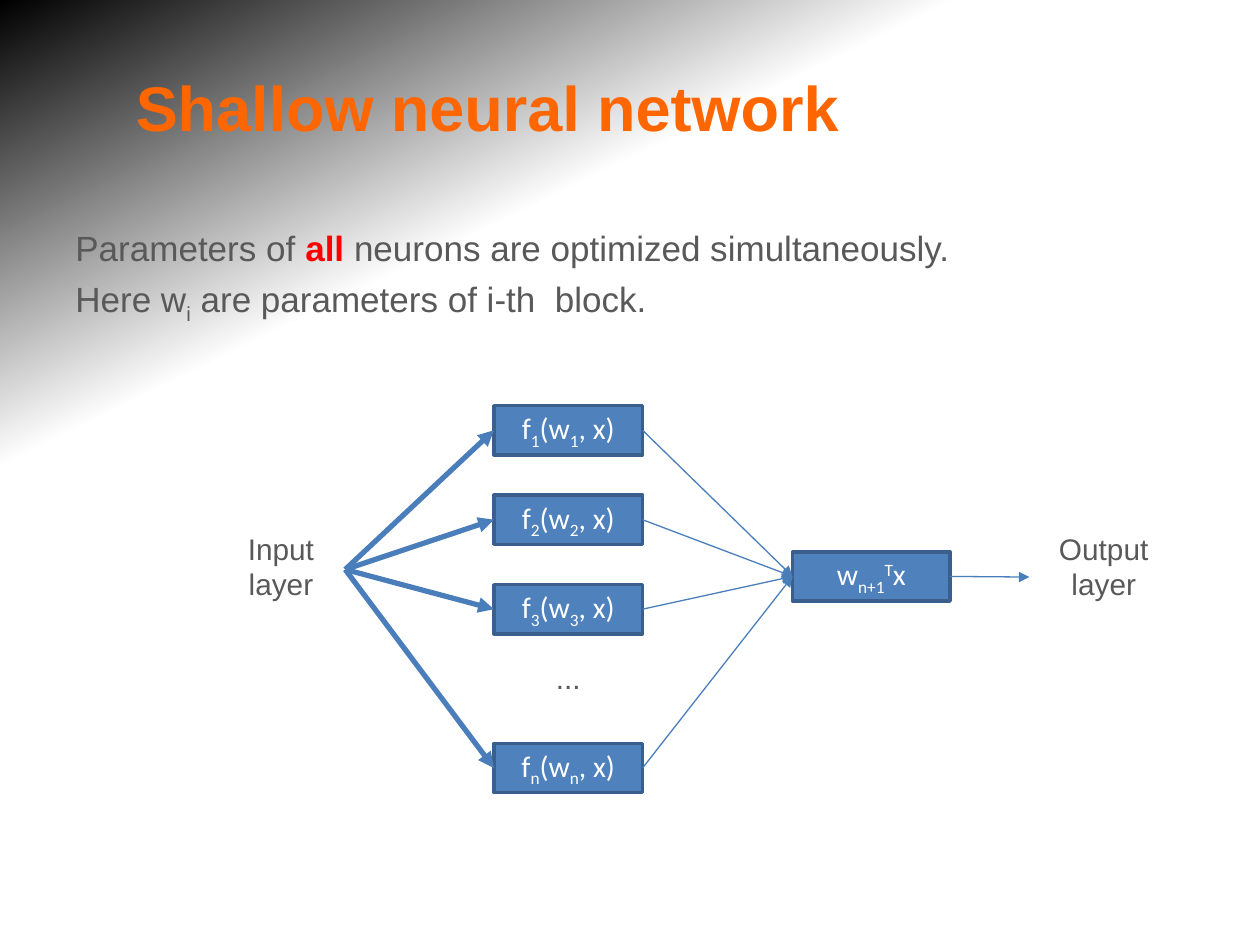
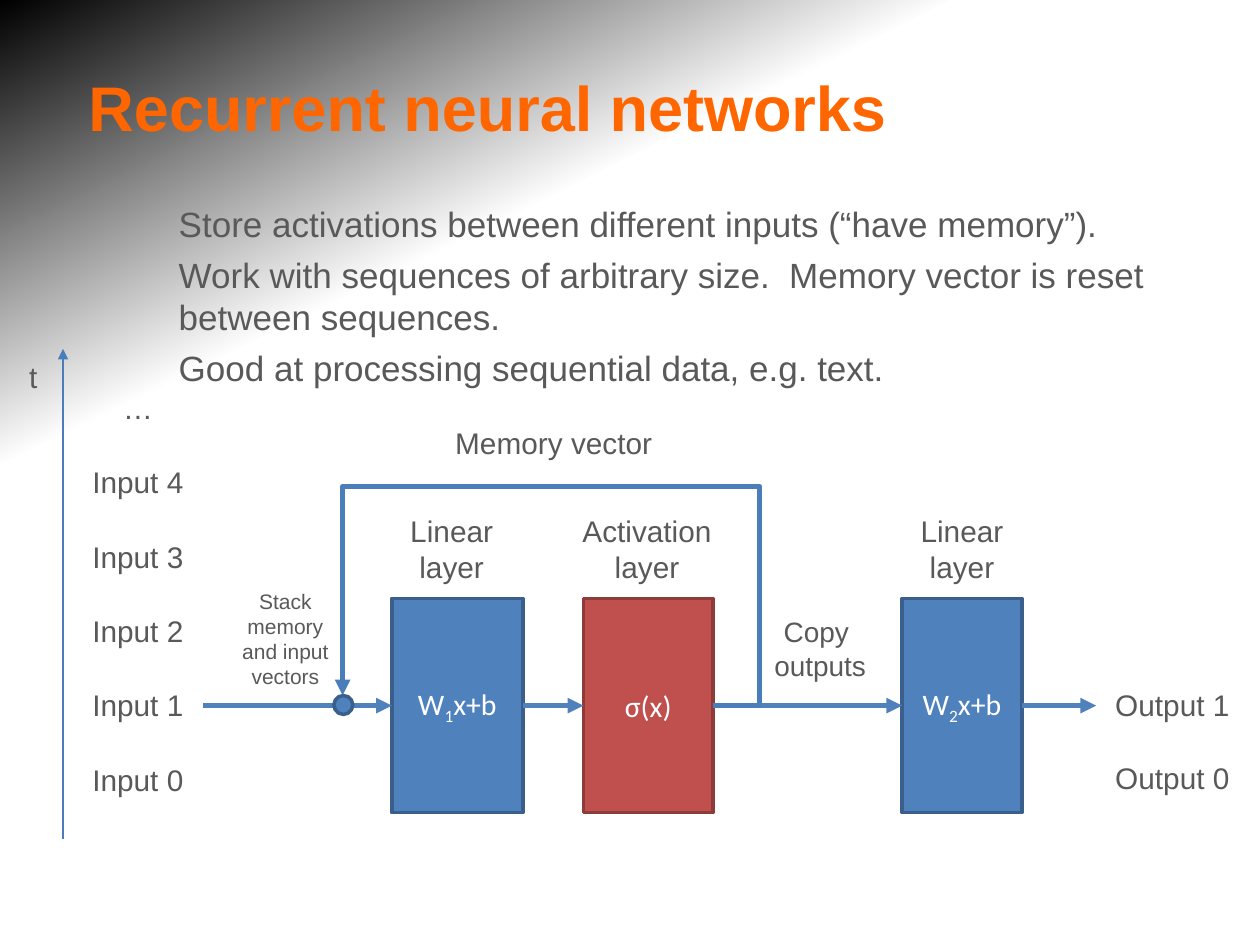
"""Build two slides on shallow and recurrent neural networks."""
from copy import deepcopy
from dataclasses import dataclass

from lxml import etree
from pptx import Presentation
from pptx import util as u
from pptx.dml.color import RGBColor
from pptx.enum import shapes, text
from pptx.oxml.ns import qn


@dataclass(frozen=True)
class Theme:
    title: str = "FF6600"
    body: str = "595959"
    accent: str = "FF0000"
    light: str = "FFFFFF"
    dark: str = "000000"
    blue: str = "4F81BD"
    blue_edge: str = "3A5F8C"
    red: str = "C0504D"
    red_edge: str = "8E3B39"
    link: str = "4A7EBB"
    font: str = "Arial"
    formula_font: str = "Calibri"
    title_size: float = 36
    body_size: float = 20
    label_size: float = 17
    copy_size: float = 16
    note_size: float = 12
    thick: float = 3
    thin: float = 0.75
    edge: float = 2


theme = Theme()
RECT, OVAL = shapes.MSO_SHAPE.RECTANGLE, shapes.MSO_SHAPE.OVAL
TOP, MIDDLE = text.MSO_ANCHOR.TOP, text.MSO_ANCHOR.MIDDLE
LEFT, CENTER, JUSTIFY = text.PP_ALIGN.LEFT, text.PP_ALIGN.CENTER, text.PP_ALIGN.JUSTIFY
BASELINES = {"_": "-25000", "^": "30000"}


def place(slide, box, lines, size=theme.label_size, color=theme.body, bold=None, align=CENTER,
          anchor=TOP, gap=0, kind=None, fill=theme.blue, edge=theme.blue_edge):
    """Add a text box, or a filled shape of the given kind; | splits runs, _ ^ * mark them."""
    area = [u.Inches(v) for v in box]
    if kind is None:
        item = slide.shapes.add_textbox(*area)
    else:
        item = slide.shapes.add_shape(kind, *area)
        item.shadow.inherit = False
        item.fill.solid()
        item.fill.fore_color.rgb = RGBColor.from_string(fill)
        item.line.color.rgb = RGBColor.from_string(edge)
        item.line.width = u.Pt(theme.edge)
        color, anchor = theme.light, MIDDLE
    frame = item.text_frame
    frame.word_wrap = True
    frame.vertical_anchor = anchor
    for number, line in enumerate(lines):
        paragraph = frame.paragraphs[0] if number == 0 else frame.add_paragraph()
        paragraph.alignment = align
        paragraph.space_before = u.Pt(gap)
        paragraph.font.name = theme.formula_font if kind else theme.font
        paragraph.font.size = u.Pt(size)
        paragraph.font.bold = bold
        paragraph.font.color.rgb = RGBColor.from_string(color)
        for piece in line.split("|"):
            run = paragraph.add_run()
            run.text = piece.lstrip("_^*")
            if piece[0] in BASELINES:
                run._r.get_or_add_rPr().set("baseline", BASELINES[piece[0]])
            elif piece[0] == "*":
                run.font.bold = True
                run.font.color.rgb = RGBColor.from_string(theme.accent)
    return item


def arrow(slide, start, end, width, color=theme.link, kind=shapes.MSO_CONNECTOR.STRAIGHT):
    """Draw an arrow between points, or from a block's right side to a block's left side."""
    points = [p if isinstance(p, tuple) else (0, 0) for p in (start, end)]
    link = slide.shapes.add_connector(kind, *[u.Inches(v) for p in points for v in p])
    if not isinstance(start, tuple):
        link.begin_connect(start, 3)
    if not isinstance(end, tuple):
        link.end_connect(end, 1)
    link.line.width = u.Pt(width)
    link.line.color.rgb = RGBColor.from_string(color)
    etree.SubElement(link.line._get_or_add_ln(), qn("a:tailEnd"), type="triangle")
    etree.SubElement(link._element.spPr, qn("a:effectLst"))
    return link


prs = Presentation()
prs.slide_width, prs.slide_height = u.Inches(10), u.Inches(7.5)

backdrop = prs.slide_master.background.fill
backdrop.gradient()
backdrop.gradient_angle = 116
stop_list = prs.slide_master.element.find(".//" + qn("a:gsLst"))
stop_list.insert(1, deepcopy(stop_list[0]))
for stop, (position, shade) in zip(backdrop.gradient_stops,
                                   [(0, theme.light), (0.7, theme.light), (1, theme.dark)]):
    stop.position = position
    stop.color.rgb = RGBColor.from_string(shade)

contents = [
    ("Shallow neural network", (0.5, 1.75, 9, 0.84), JUSTIFY,
     ["Parameters of |*all| neurons are optimized simultaneously.",
      "Here w|_i| are parameters of i-th  block."]),
    ("Recurrent neural networks", (1.32, 1.56, 8.02, 1.58), LEFT,
     ["Store activations between different inputs (“have memory”).",
      "Work with sequences of arbitrary size.  Memory vector is reset between sequences.",
      "Good at processing sequential data, e.g. text."]),
]
for heading, body_box, body_align, body in contents:
    slide = prs.slides.add_slide(prs.slide_layouts[6])
    place(slide, (0.5, 0.33, 6.74, 1.03), [heading], theme.title_size, theme.title,
          bold=True, anchor=MIDDLE)
    place(slide, body_box, body, theme.body_size, align=body_align, gap=5)
shallow, recurrent = prs.slides

place(shallow, (1.72, 4.16, 1.02, 0.79), ["Input", "layer"])
place(shallow, (8.25, 4.16, 1.02, 0.86), ["Output", "layer"])
place(shallow, (3.92, 5.19, 1.18, 0.41), ["..."])
combiner = place(shallow, (6.29, 4.38, 1.25, 0.39), ["w|_n+1|^T|x"], kind=RECT)
for index, top in zip("123n", (3.22, 3.93, 4.64, 5.9)):
    neuron = place(shallow, (3.92, top, 1.18, 0.39), [f"f|_{index}|(w|_{index}|, x)"], kind=RECT)
    arrow(shallow, (2.74, 4.52), neuron, theme.thick)
    arrow(shallow, neuron, combiner, theme.thin)
arrow(shallow, combiner, (8.17, 4.58), theme.thin)

flow_y = 5.6
stages = []
for left, width, formula, fill, edge in [
    (3.11, 1.04, "W|_1|x+b", theme.blue, theme.blue_edge),
    (4.63, 1.03, "σ(x)", theme.red, theme.red_edge),
    (7.16, 0.95, "W|_2|x+b", theme.blue, theme.blue_edge),
]:
    stages.append(place(recurrent, (left, 4.75, width, 1.7), [formula],
                        kind=RECT, fill=fill, edge=edge))
stops = [(1.61, flow_y), *stages, (8.7, flow_y)]
for start, end in zip(stops, stops[1:]):
    arrow(recurrent, start, end, theme.thick, theme.blue)

loop_start, loop_end, loop_right, loop_top = 5.66, 2.72, 6.03, 3.86
stack_top = 5.52
memory = arrow(recurrent, (loop_start, flow_y), (loop_end, stack_top), theme.thick,
               kind=shapes.MSO_CONNECTOR.ELBOW)
bend = memory._element.spPr.find(qn("a:prstGeom"))
bend.set("prst", "bentConnector4")
bend_guides = bend.find(qn("a:avLst"))
for name, ratio in [("adj1", (loop_start - loop_right) / (loop_start - loop_end)),
                    ("adj2", (flow_y - loop_top) / (flow_y - stack_top))]:
    etree.SubElement(bend_guides, qn("a:gd"), name=name, fmla=f"val {round(ratio * 100000)}")
place(recurrent, (2.65, stack_top, 0.15, 0.15), [], kind=OVAL)

for box, lines, size in [
    ((3.11, 4.02, 0.95, 0.73), ["Linear", "layer"], theme.label_size),
    ((4.39, 4.02, 1.49, 0.73), ["Activation", "layer"], theme.label_size),
    ((7.16, 4.02, 0.95, 0.73), ["Linear", "layer"], theme.label_size),
    ((3.37, 3.32, 2.05, 0.46), ["Memory vector"], theme.label_size),
    ((6.01, 4.83, 1, 0.74), ["Copy ", "outputs"], theme.copy_size),
    ((1.79, 4.62, 0.95, 0.94), ["Stack", "memory", "and input", "vectors"], theme.note_size),
]:
    place(recurrent, box, lines, size)

row = 0.59
for step, caption in enumerate(["…", "Input 4", "Input 3", "Input 2", "Input 1", "Input 0"]):
    place(recurrent, (0.58, 2.94 + step * row, 1.03, row), [caption], anchor=MIDDLE)
for step, caption in enumerate(["Output 1", "Output 0"]):
    place(recurrent, (8.7, 5.3 + step * 0.58, 1.21, row), [caption], anchor=MIDDLE)
arrow(recurrent, (0.5, 6.66), (0.5, 2.77), theme.thin)
place(recurrent, (0.06, 2.69, 0.41, row), ["t"], anchor=MIDDLE)

prs.save("out.pptx")
